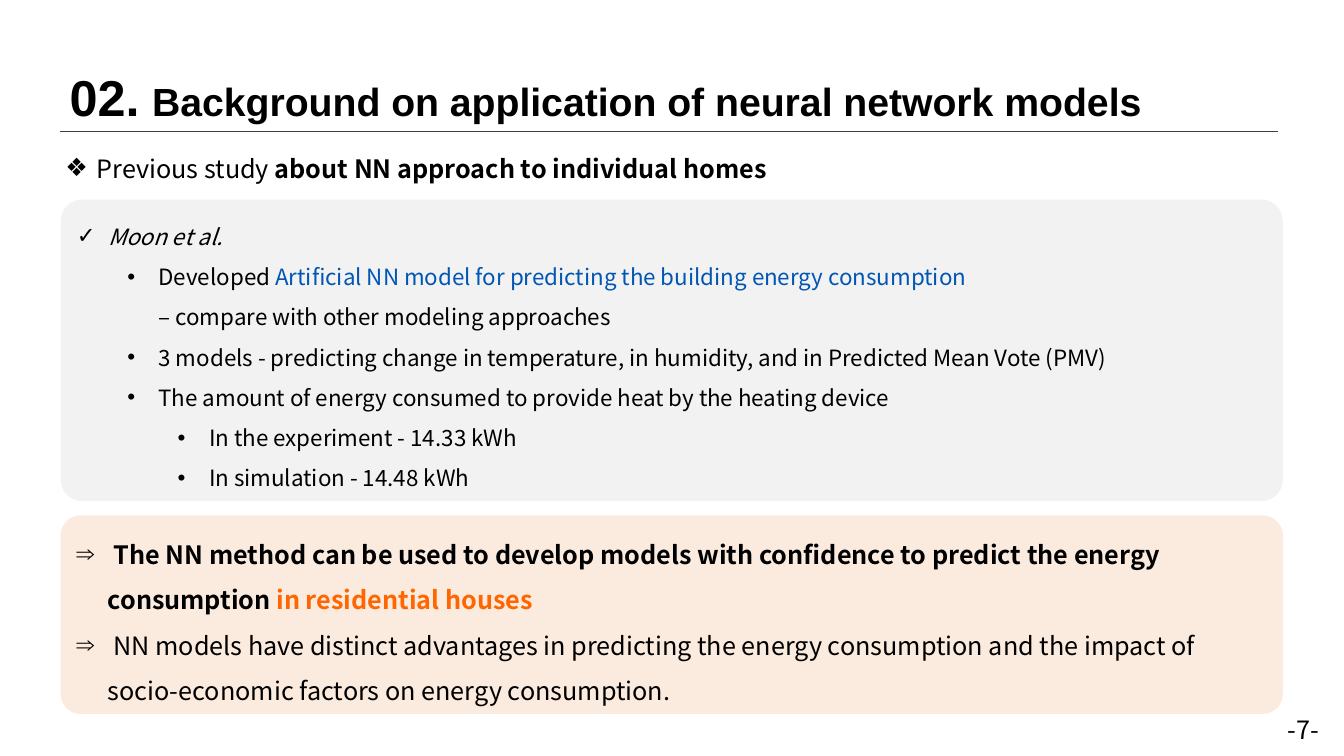
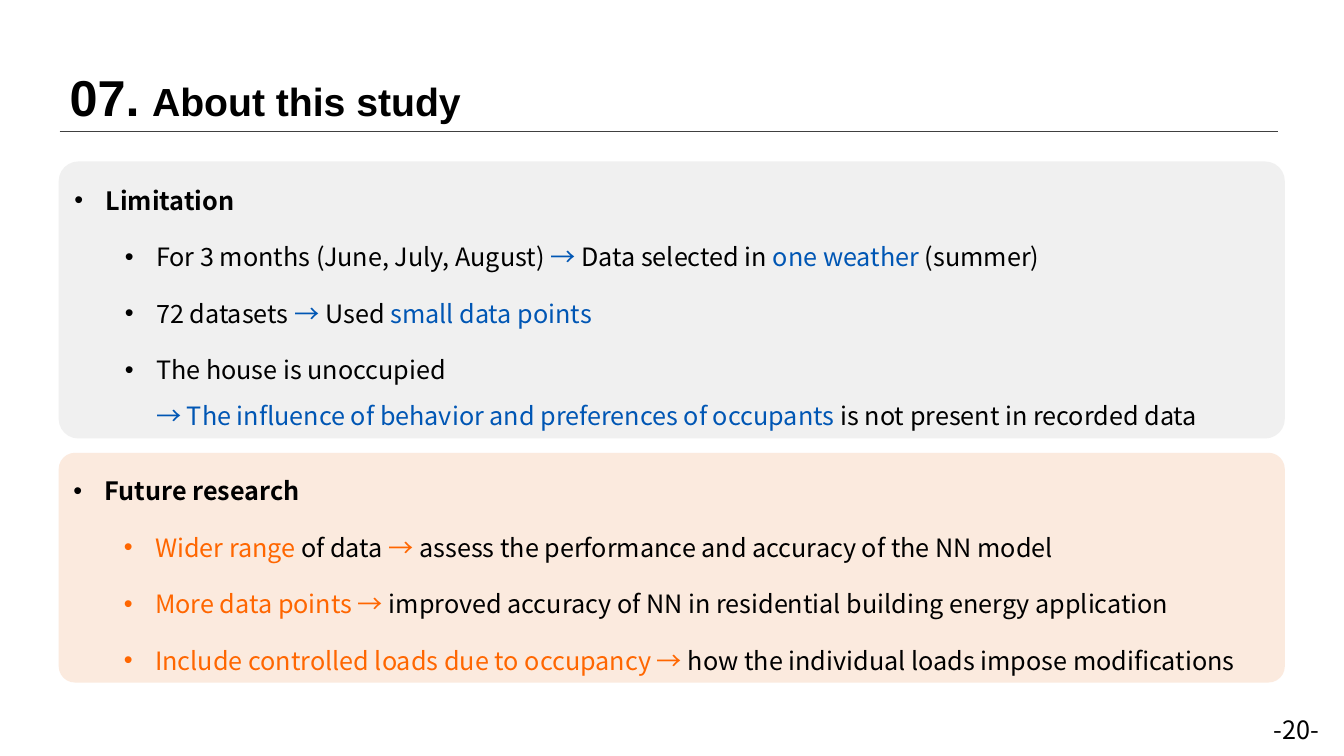
from dataclasses import dataclass

from lxml.etree import SubElement
from pptx import Presentation
from pptx.dml.color import RGBColor
from pptx.enum.shapes import MSO_CONNECTOR as CONN, MSO_SHAPE as SHAPE
from pptx.enum.text import MSO_ANCHOR as ANCHOR, MSO_AUTO_SIZE as AUTO, PP_ALIGN as ALIGN
from pptx.oxml.ns import qn
from pptx.util import Cm, Pt

# Shared look
HEAD_FONT, BODY_FONT = "Arial", "Noto Sans CJK KR"
BLACK, RULE = "000000", "404040"
BLUE, ORANGE = "0056B4", "FF6600"
LIGHT_GREY, GREY, PEACH = "F2F2F2", "EDEDED", "FBE5D6"
HANG, LEVEL_STEP = 0.79, 1.27
MARGIN, RULE_END, RULE_Y = 1.5, 32.2, 3.31


@dataclass(frozen=True)
class Run:
    text: str
    color: str = BLACK
    bold: bool = False
    italic: bool = False
    size: float | None = None


@dataclass(frozen=True)
class Para:
    runs: tuple[Run, ...]
    bullet: str = "•"
    level: int = 0


@dataclass(frozen=True)
class Panel:
    left: float
    top: float
    width: float
    height: float
    fill: str
    paras: tuple[Para, ...]
    size: float = 18
    space_after: float = 0
    radius: float = 0.071
    opacity: int = 100


def rgb(color: str) -> RGBColor:
    return RGBColor.from_string(color)


def add_run(p, run: Run, size: float, font: str = BODY_FONT) -> None:
    """Add one run; a trailing newline becomes a line break."""
    r = p.add_run()
    r.text = run.text.rstrip("\n")
    r.font.size = Pt(run.size or size)
    r.font.bold, r.font.italic = run.bold, run.italic
    r.font.color.rgb = rgb(run.color)
    r.font.name = font
    SubElement(r.font._element, qn("a:ea")).set("typeface", font)
    if run.text.endswith("\n"):
        p.add_line_break()


def fill_paras(tf, paras: tuple[Para, ...], size: float,
               line_spacing: float = 1.0, space_after: float = 0) -> None:
    tf.word_wrap = True
    for i, para in enumerate(paras):
        p = tf.add_paragraph() if i else tf.paragraphs[0]
        p.level, p.alignment = para.level, ALIGN.LEFT
        p.line_spacing, p.space_after = line_spacing, Pt(space_after)
        p_pr = p._p.get_or_add_pPr()
        p_pr.set("marL", str(Cm(HANG + LEVEL_STEP * para.level)))
        p_pr.set("indent", str(-Cm(HANG)))
        SubElement(p_pr, qn("a:buFont")).set("typeface", HEAD_FONT)
        SubElement(p_pr, qn("a:buChar")).set("char", para.bullet)
        for run in para.runs:
            add_run(p, run, size)


def add_panel(slide, panel: Panel) -> None:
    sp = slide.shapes.add_shape(SHAPE.ROUNDED_RECTANGLE, Cm(panel.left), Cm(panel.top),
                                Cm(panel.width), Cm(panel.height))
    sp.adjustments[0] = panel.radius
    sp.shadow.inherit = False
    sp.line.fill.background()
    sp.fill.solid()
    sp.fill.fore_color.rgb = rgb(panel.fill)
    if panel.opacity < 100:
        color = sp.element.spPr.find(".//" + qn("a:srgbClr"))
        SubElement(color, qn("a:alpha")).set("val", str(panel.opacity * 1000))
    sp.text_frame.vertical_anchor = ANCHOR.MIDDLE
    fill_paras(sp.text_frame, panel.paras, panel.size, 1.5, panel.space_after)


def add_base(prs, number: str, title: str, page: int):
    """Start a slide with its title, rule and page number."""
    slide = prs.slides.add_slide(prs.slide_layouts[5])

    sp = slide.shapes.title
    sp.left, sp.top = Cm(MARGIN), Cm(1.52)
    sp.width, sp.height = Cm(RULE_END - MARGIN), Cm(1.8)
    tf = sp.text_frame
    tf.auto_size, tf.vertical_anchor = AUTO.NONE, ANCHOR.MIDDLE
    p = tf.paragraphs[0]
    p.alignment = ALIGN.LEFT
    for text, size in ((number, 36), (" ", 32), (title, 28)):
        add_run(p, Run(text, bold=True), size, HEAD_FONT)

    line = slide.shapes.add_connector(CONN.STRAIGHT, Cm(MARGIN), Cm(RULE_Y),
                                      Cm(RULE_END), Cm(RULE_Y))
    line.line.color.rgb, line.line.width = rgb(RULE), Pt(1)
    SubElement(line._element.spPr, qn("a:effectLst"))

    box = slide.shapes.add_textbox(Cm(31.5), Cm(17.88), Cm(2), Cm(1.02))
    p = box.text_frame.paragraphs[0]
    p.alignment = ALIGN.RIGHT
    add_run(p, Run(f"-{page}-"), 18)
    return slide


# Slide contents
STUDY_HEADING = Para((Run("Previous study "),
                      Run("about NN approach to individual homes", bold=True)), "❖")

STUDY = Panel(1.53, 5.03, 30.8, 7.6, LIGHT_GREY, size=16, paras=(
    Para((Run("Moon et al.", italic=True),), "✓"),
    Para((Run("Developed "),
          Run("Artificial NN model for predicting the building energy consumption\n", BLUE),
          Run("– compare with other modeling approaches")), level=1),
    Para((Run("3 models - predicting change in temperature, in humidity, "
              "and in Predicted Mean Vote (PMV)"),), level=1),
    Para((Run("The amount of energy consumed to provide heat by the heating device"),), level=1),
    Para((Run("In the experiment - 14.33 kWh"),), level=2),
    Para((Run("In simulation - 14.48 kWh"),), level=2),
))

CONCLUSION = Panel(1.53, 12.99, 30.8, 5, PEACH, radius=0.1, opacity=80, paras=(
    Para((Run(" The NN method can be used to develop models with confidence "
              "to predict the energy consumption ", bold=True),
          Run("in residential houses", ORANGE, bold=True)), "⇒"),
    Para((Run(" NN models have distinct advantages in predicting the energy consumption "
              "and the impact of socio-economic factors on energy consumption."),), "⇒"),
))

LIMITATION = Panel(1.48, 4.07, 30.9, 6.98, GREY, space_after=8, opacity=80, paras=(
    Para((Run("Limitation", bold=True),)),
    Para((Run("For 3 months (June, July, August) "), Run("→ ", BLUE),
          Run("Data selected in "), Run("one weather ", BLUE), Run("(summer)")), level=1),
    Para((Run("72 datasets "), Run("→", BLUE), Run(" Used "),
          Run("small data points", BLUE)), level=1),
    Para((Run("The house is unoccupied\n"),
          Run("→ The influence of behavior and preferences of occupants ", BLUE),
          Run("is not present in recorded data")), level=1),
))

FUTURE = Panel(1.48, 11.41, 30.9, 5.79, PEACH, space_after=8, opacity=80, paras=(
    Para((Run("Future research", bold=True),)),
    Para((Run("Wider range ", ORANGE), Run("of data "), Run("→ ", ORANGE),
          Run("assess the performance and accuracy of the NN model")), level=1),
    Para((Run("More data points → ", ORANGE),
          Run("improved accuracy of NN in residential building energy application")), level=1),
    Para((Run("Include controlled loads due to occupancy → ", ORANGE),
          Run("how the individual loads impose modifications")), level=1),
))


def main() -> None:
    prs = Presentation()
    prs.slide_width, prs.slide_height = Cm(33.87), Cm(19.05)

    # Background
    slide = add_base(prs, "02.", "Background on application of neural network models", 7)
    add_panel(slide, CONCLUSION)
    add_panel(slide, STUDY)
    box = slide.shapes.add_textbox(Cm(1.4), Cm(3.73), Cm(19.8), Cm(1.02))
    fill_paras(box.text_frame, (STUDY_HEADING,), 18)

    # About this study
    slide = add_base(prs, "07.", "About this study", 20)
    add_panel(slide, LIMITATION)
    add_panel(slide, FUTURE)

    prs.save("out.pptx")


if __name__ == "__main__":
    main()
